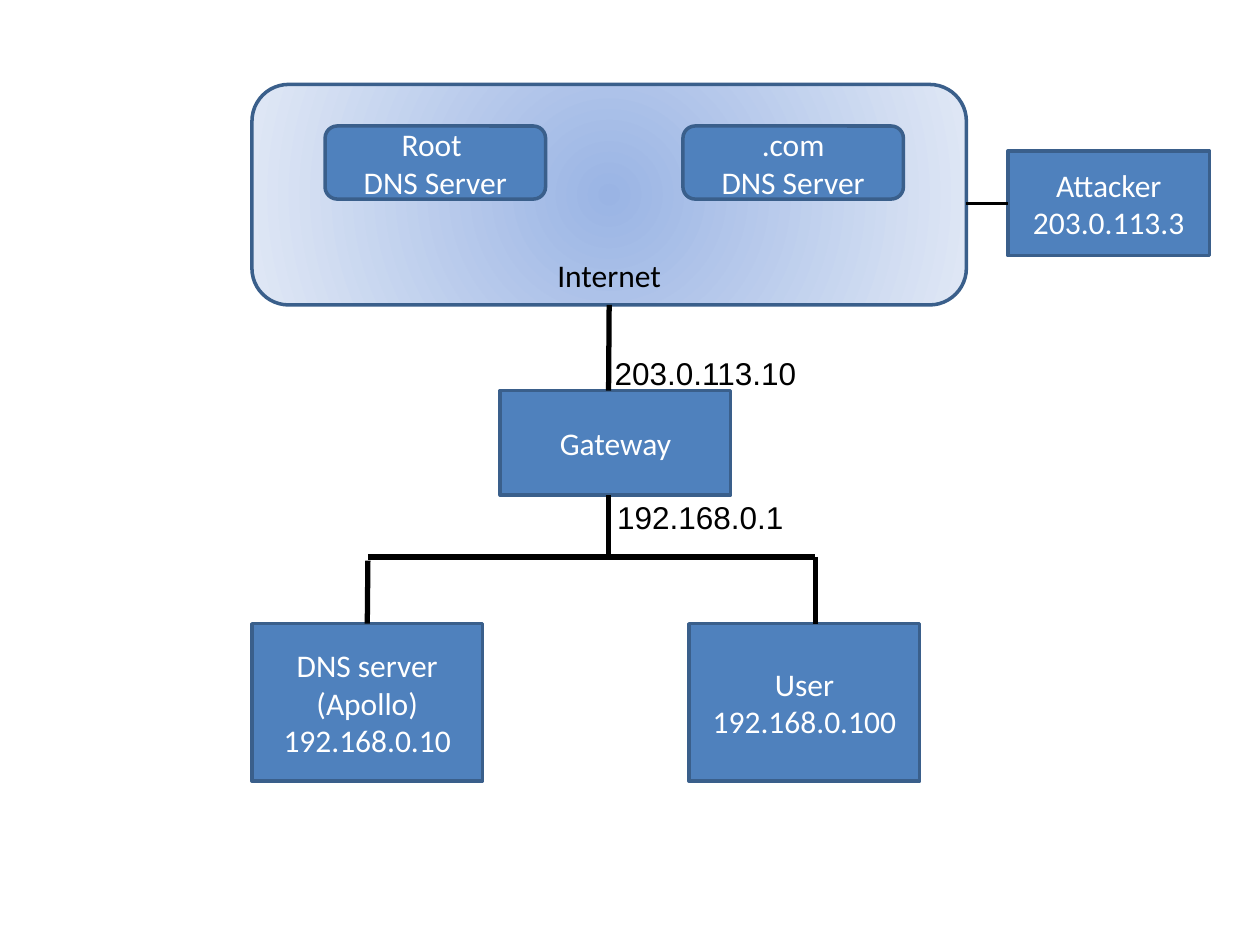
from pptx import Presentation
from pptx.dml.color import RGBColor
from pptx.enum.shapes import MSO_CONNECTOR as Link, MSO_SHAPE as Shape
from pptx.enum.text import MSO_ANCHOR as Anchor, PP_ALIGN as Align
from pptx.oxml import parse_xml
from pptx.oxml.ns import nsdecls, qn
from pptx.util import Inches, Pt

BLUE = RGBColor(0x4F, 0x81, 0xBD)
EDGE = RGBColor(0x3A, 0x5F, 0x8B)
CORE = RGBColor(0x9A, 0xB4, 0xE4)
RIM = RGBColor(0xE0, 0xE8, 0xF5)
WHITE = RGBColor(255, 255, 255)
BLACK = RGBColor(0, 0, 0)
TOP, BOTTOM, LEFT = 0, 2, 1


def add_node(slide, box, lines, kind=Shape.RECTANGLE, color=WHITE):
    node = slide.shapes.add_shape(kind, *map(Inches, box))
    node.shadow.inherit = False
    node.fill.solid()
    node.fill.fore_color.rgb = BLUE
    node.line.color.rgb = EDGE
    node.line.width = Pt(2)
    frame = node.text_frame
    frame.word_wrap = True
    frame.vertical_anchor = Anchor.MIDDLE
    frame.text = "\n".join(lines)
    for para in frame.paragraphs:
        para.alignment = Align.CENTER
        style(para.font, "Calibri", color)
    return node


def style(font, name, color):
    font.name = name
    font.size = Pt(18)
    font.color.rgb = color


def add_label(slide, left, top, text):
    label = slide.shapes.add_textbox(*map(Inches, (left, top, 1.7, 0.38)))
    label.text_frame.word_wrap = True
    label.text_frame.text = text
    style(label.text_frame.paragraphs[0].font, "Arial", BLACK)


def add_link(slide, start, end, width=3):
    link = slide.shapes.add_connector(Link.STRAIGHT, *map(Inches, start + end))
    link.line.color.rgb = BLACK
    link.line.width = Pt(width)
    link._element.spPr.append(parse_xml(f"<a:effectLst {nsdecls('a')}/>"))
    return link


def fill_radial(shape):
    fill = shape.fill
    fill.gradient()
    for stop, place, color in zip(fill.gradient_stops, (0, 1), (CORE, RIM)):
        stop.position = place
        stop.color.rgb = color
    grad = shape._element.spPr.find(qn("a:gradFill"))
    grad.replace(grad.find(qn("a:lin")), parse_xml(
        f'<a:path {nsdecls("a")} path="circle">'
        '<a:fillToRect l="50000" t="50000" r="50000" b="50000"/></a:path>'))


def add_internet(slide, box):
    """Draw the cloud with its two public DNS servers."""
    left, top, _, _ = box
    cloud = add_node(slide, box, ["Internet"], Shape.ROUNDED_RECTANGLE, BLACK)
    fill_radial(cloud)
    cloud.text_frame.vertical_anchor = Anchor.BOTTOM
    cloud.text_frame.margin_bottom = 0
    for dx, name in ((0.58, "Root "), (3.42, ".com")):
        add_node(slide, (left + dx, top + 0.33, 1.75, 0.58),
                 [name, "DNS Server"], Shape.ROUNDED_RECTANGLE)
    return cloud


def add_attacker(slide, box, edge):
    """Draw the attacker, linked to the cloud's right edge."""
    left, top, _, height = box
    node = add_node(slide, box, ["Attacker", "203.0.113.3"])
    mid = top + height / 2
    add_link(slide, (edge, mid), (left, mid), 0).end_connect(node, LEFT)


def add_network(slide, box, cloud, trunk):
    """Draw the gateway and the local network hanging from the cloud."""
    left, top, width, height = box
    node_w, gate_h, host_h = 1.83, 0.83, 1.25
    gate_y, bus_y = top + 0.68, top + 2
    host_y = top + height - host_h
    user_x = left + width - node_w
    add_node(slide, (left + 1.97, gate_y, node_w, gate_h), ["Gateway"])
    add_node(slide, (user_x, host_y, node_w, host_h),
             ["User", "192.168.0.100"])
    dns = add_node(slide, (left, host_y, node_w, host_h),
                   ["DNS server (Apollo)", "192.168.0.10"])

    start, end = left + 0.92, user_x + 1
    add_link(slide, (start, bus_y), (end, bus_y))
    add_link(slide, (start, bus_y + 0.03), (start, host_y)).end_connect(dns, TOP)
    add_link(slide, (end, bus_y), (end, host_y))
    add_link(slide, (trunk, gate_y + gate_h), (trunk, bus_y))
    add_link(slide, (trunk, top), (trunk, gate_y)).begin_connect(cloud, BOTTOM)
    add_label(slide, trunk - 0.05, gate_y - 0.34, "203.0.113.10")
    add_label(slide, trunk - 0.03, gate_y + gate_h - 0.03, "192.168.0.1")


def main():
    deck = Presentation()
    deck.slide_width, deck.slide_height = Inches(10), Inches(7.5)
    slide = deck.slides.add_slide(deck.slide_layouts[6])
    cloud = add_internet(slide, (2, 0.67, 5.67, 1.75))
    add_network(slide, (2, 2.42, 5.3, 3.78), cloud, 4.83)
    add_attacker(slide, (8, 1.2, 1.6, 0.83), 7.67)
    deck.save("out.pptx")


if __name__ == "__main__":
    main()
